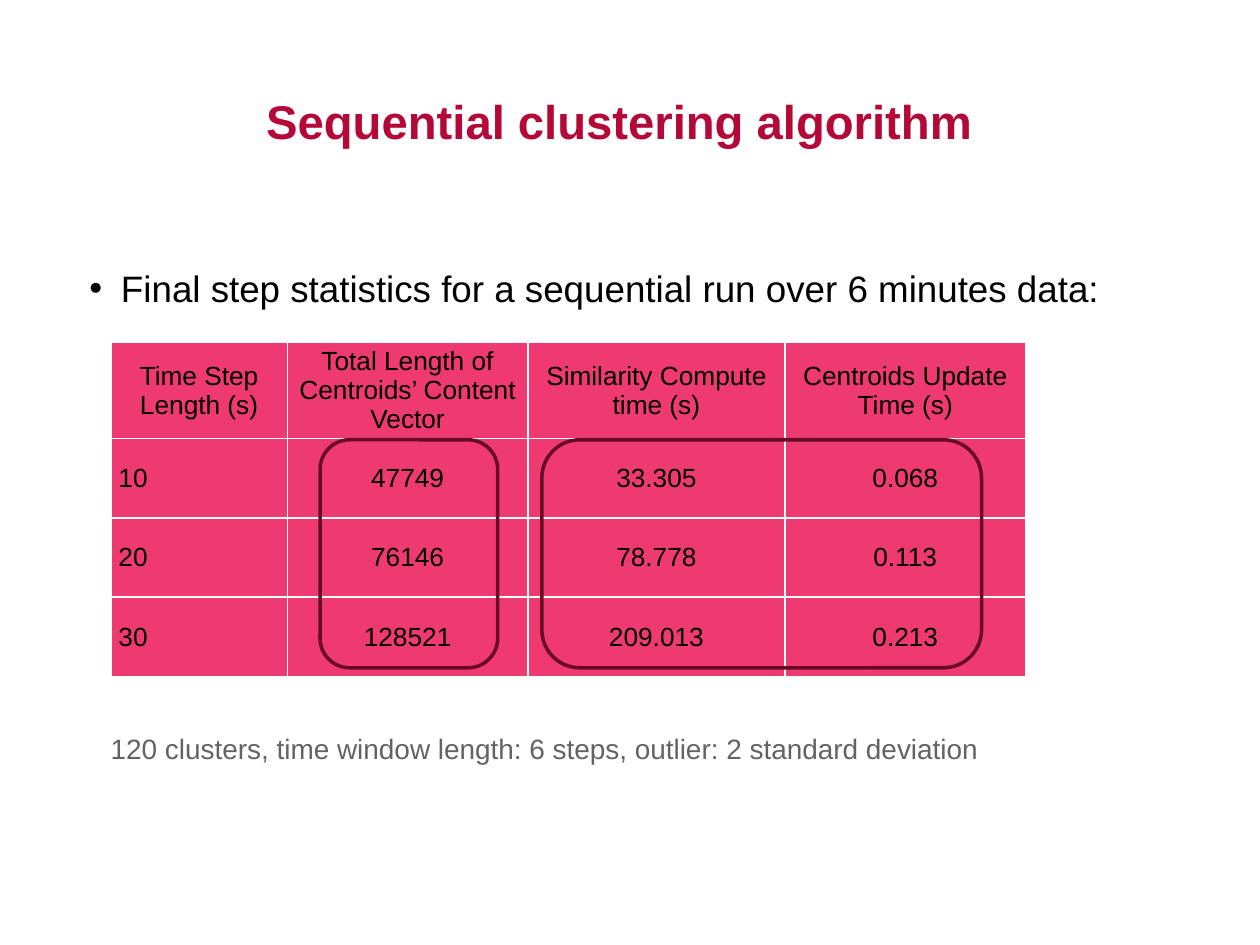
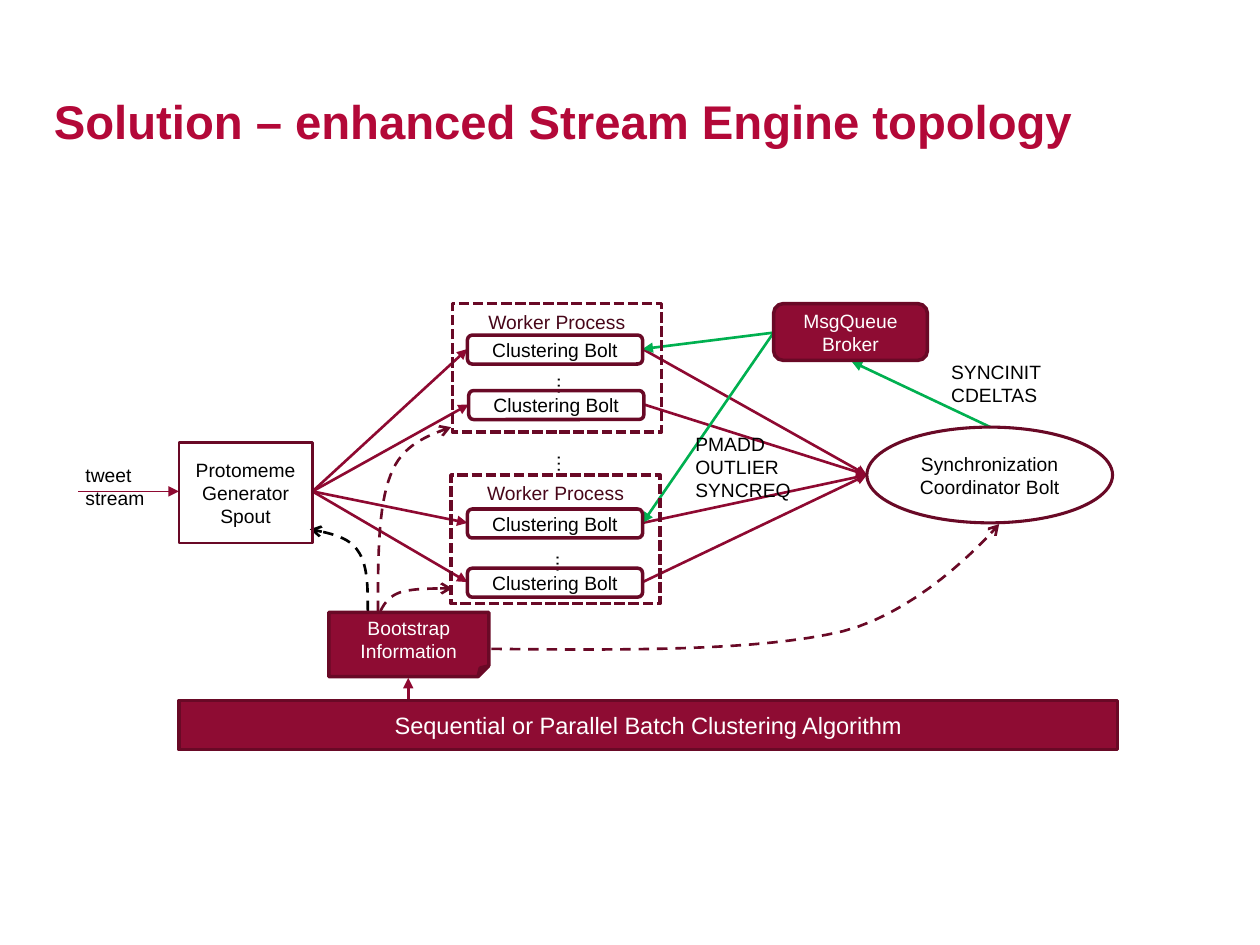
from lxml import etree
from pptx import Presentation
from pptx import util as u
from pptx.dml.color import RGBColor
from pptx.enum import dml, shapes, text
from pptx.oxml.ns import qn

PX = 9144
FONT = "Arial"
TITLE = RGBColor(0xB3, 0x08, 0x38)
CRIMSON = RGBColor(0x8E, 0x0C, 0x33)
ARROW = RGBColor(0x8E, 0x09, 0x31)
MAROON = RGBColor(0x69, 0x09, 0x26)
PLUM = RGBColor(0x47, 0x06, 0x19)
PINK = RGBColor(0xEE, 0x3A, 0x70)
GREEN = RGBColor(0x00, 0xB0, 0x50)
GREY = RGBColor(0x62, 0x63, 0x65)
BLACK = RGBColor(0, 0, 0)
WHITE = RGBColor(255, 255, 255)

LEFT, CENTER, JUSTIFY = text.PP_ALIGN.LEFT, text.PP_ALIGN.CENTER, text.PP_ALIGN.JUSTIFY
TOP, MIDDLE = text.MSO_ANCHOR.TOP, text.MSO_ANCHOR.MIDDLE
RECT, ROUND = shapes.MSO_SHAPE.RECTANGLE, shapes.MSO_SHAPE.ROUNDED_RECTANGLE
OVAL, FOLDED = shapes.MSO_SHAPE.OVAL, shapes.MSO_SHAPE.FOLDED_CORNER
DASH, SHORT_DASH = dml.MSO_LINE.DASH, dml.MSO_LINE.SQUARE_DOT


def add_text(slide, words, box, kind=None, fill=None, line=MAROON, width=2, dash=None,
             size=11, color=BLACK, bold=False, align=None, anchor=None):
    box = [n * PX for n in box]
    if kind is None:
        sp = slide.shapes.add_textbox(*box)
    else:
        sp = slide.shapes.add_shape(kind, *box)
        sp.shadow.inherit = False
        if fill is None:
            sp.fill.background()
        else:
            sp.fill.solid()
            sp.fill.fore_color.rgb = fill
        sp.line.color.rgb = line
        sp.line.width = u.Pt(width)
        if dash is not None:
            sp.line.dash_style = dash
    tf = sp.text_frame
    tf.word_wrap = True
    tf.vertical_anchor = anchor or (MIDDLE if kind else TOP)
    for i, words_line in enumerate(words.split("\n")):
        p = tf.paragraphs[0] if i == 0 else tf.add_paragraph()
        p.alignment = align or (CENTER if kind else LEFT)
        r = p.add_run()
        r.text = words_line
        r.font.name, r.font.size, r.font.bold = FONT, u.Pt(size), bold
        r.font.color.rgb = color
    return sp


def style_arrow(sp, color, width=1.5, head="triangle", dash=None):
    sp.line.color.rgb = color
    sp.line.width = u.Pt(width)
    if dash is not None:
        sp.line.dash_style = dash
    spPr = sp.element.spPr
    etree.SubElement(spPr.find(qn("a:ln")), qn("a:tailEnd"), type=head)
    if spPr.find(qn("a:effectLst")) is None:
        etree.SubElement(spPr, qn("a:effectLst"))


prs = Presentation()
prs.slide_width, prs.slide_height = 1000 * PX, 750 * PX
stats, topology = [prs.slides.add_slide(prs.slide_layouts[6]) for _ in range(2)]
for slide, heading, align in [
    (stats, "Sequential clustering algorithm", CENTER),
    (topology, "Solution – enhanced Stream Engine topology", LEFT),
]:
    add_text(slide, heading, (33, 33, 917, 125), size=27, color=TITLE, bold=True,
             align=align, anchor=MIDDLE)

sp = add_text(stats, "Final step statistics for a sequential run over 6 minutes data:",
              (64, 207, 862, 49), size=21)
tf = sp.text_frame
tf.margin_left = tf.margin_right = 7 * PX
tf.margin_top = tf.margin_bottom = 4 * PX
p = tf.paragraphs[0]
p.space_after = u.Pt(4.5)
pPr = p._p.get_or_add_pPr()
pPr.set("marL", str(25 * PX))
pPr.set("indent", str(-25 * PX))
etree.SubElement(pPr, qn("a:buFont"), typeface=FONT)
etree.SubElement(pPr, qn("a:buChar"), char="•")

rows = [
    ["Time Step Length (s)", "Total Length of Centroids’ Content Vector",
     "Similarity Compute time (s)", "Centroids Update Time (s)"],
    ["10", "47749", "33.305", "0.068"],
    ["20", "76146", "78.778", "0.113"],
    ["30", "128521", "209.013", "0.213"],
]
tbl = stats.shapes.add_table(4, 4, 88 * PX, 272 * PX, 726 * PX, 265 * PX).table
tbl.first_row = tbl.horz_banding = False
for col, width in zip(tbl.columns, (140, 191, 204, 191)):
    col.width = width * PX
for row, height in zip(tbl.rows, (76, 63, 63, 63)):
    row.height = height * PX
for i, values in enumerate(rows):
    for j, value in enumerate(values):
        cell = tbl.cell(i, j)
        cell.margin_left = cell.margin_right = 6 * PX
        cell.margin_top = cell.margin_bottom = 0
        cell.vertical_anchor = MIDDLE
        p = cell.text_frame.paragraphs[0]
        p.alignment = JUSTIFY if i and j == 0 else CENTER
        r = p.add_run()
        r.text = value
        r.font.name, r.font.size = FONT, u.Pt(15)
        r.font.color.rgb = BLACK
        tcPr = cell._tc.get_or_add_tcPr()
        for side in ("lnL", "lnR", "lnT", "lnB"):
            ln = etree.SubElement(tcPr, qn("a:" + side), w=str(u.Pt(1)))
            paint = etree.SubElement(ln, qn("a:solidFill"))
            etree.SubElement(paint, qn("a:srgbClr"), val=str(WHITE))
        cell.fill.solid()
        cell.fill.fore_color.rgb = PINK

for left, width in ((430, 349), (254, 141)):
    add_text(stats, "", (left, 349, width, 181), ROUND)
add_text(stats, "120 clusters, time window length: 6 steps, outlier: 2 standard deviation",
         (78, 576, 718, 67), size=16, color=GREY)

spout_out, coordinator_in, broker_out = (248, 390), (688, 377), (614, 264)
bolts = [(371, 266), (372, 310), (371, 404), (371, 451)]
BOLT_W, BOLT_H = 139, 23
arrows = [
    ((786, 339), (676, 287), GREEN, 1.5),
    ((324, 556), (324, 538), ARROW, 1.5),
    ((62, 390), (142, 390), ARROW, 0.75),
]
for i, (left, top) in enumerate(bolts):
    bolt_in, bolt_out = (left, top + 11), (left + BOLT_W, top + 11)
    arrows.append((spout_out, bolt_in, ARROW, 1.5))
    arrows.append((bolt_out, coordinator_in, ARROW, 1.5))
    if i % 2 == 0:
        arrows.append((broker_out, bolt_out, GREEN, 1.5))
for start, end, color, width in arrows:
    cx = topology.shapes.add_connector(shapes.MSO_CONNECTOR.STRAIGHT,
                                       *[n * PX for n in start + end])
    style_arrow(cx, color, width)

bootstrap_curves = [
    (MAROON, [(302, 485), (305, 479), (309, 473), (318, 470),
              (328, 467), (343, 467), (359, 467)]),
    (MAROON, [(300, 485), (300, 443), (300, 402), (310, 377),
              (319, 353), (339, 346), (358, 339)]),
    (MAROON, [(390, 515), (496, 516), (602, 517), (669, 501),
              (736, 484), (793, 416), (793, 416)]),
    (BLACK, [(292, 485), (292, 466), (292, 448), (284, 437),
             (277, 426), (261, 423), (246, 420)]),
]
STEPS = 16
for color, knots in bootstrap_curves:
    points = []
    for k in (0, 3):
        for step in range(1, STEPS + 1):
            t = step / STEPS
            weights = ((1 - t) ** 3, 3 * t * (1 - t) ** 2, 3 * t * t * (1 - t), t ** 3)
            points.append([PX * sum(w * knot[axis] for w, knot in zip(weights, knots[k:k + 4]))
                           for axis in (0, 1)])
    fb = topology.shapes.build_freeform(knots[0][0] * PX, knots[0][1] * PX)
    fb.add_line_segments(points, close=False)
    sp = fb.convert_to_shape()
    sp.shadow.inherit = False
    sp.fill.background()
    style_arrow(sp, color, head="arrow", dash=DASH)

add_text(topology, "Protomeme Generator Spout", (142, 351, 106, 80), RECT, width=1.5)
add_text(topology, "Synchronization Coordinator Bolt", (688, 339, 195, 76), OVAL, width=1.75)
for words, box, kind, size in [
    ("MsgQueue\nBroker", (614, 241, 122, 45), ROUND, 11),
    ("Bootstrap Information", (261, 486, 127, 51), FOLDED, 11),
    ("Sequential or Parallel Batch Clustering Algorithm", (142, 556, 745, 39), RECT, 13.5),
]:
    add_text(topology, words, box, kind, fill=CRIMSON, color=WHITE, size=size)

for left, top in ((424, 289), (424, 351), (423, 430)):
    sp = add_text(topology, "…", (left, top, 39, 22))
    sp.text_frame._txBody.bodyPr.set("vert", "eaVert")
for left, top in ((359, 241), (358, 377)):
    add_text(topology, "Worker Process", (left, top, 166, 102), RECT, dash=SHORT_DASH,
             color=PLUM, anchor=TOP)
for left, top in bolts:
    add_text(topology, "Clustering Bolt", (left, top, BOLT_W, BOLT_H), ROUND)

for words, box in [
    ("SYNCINIT\nCDELTAS", (745, 281, 95, 47)),
    ("PMADD\nOUTLIER\nSYNCREQ", (542, 338, 97, 66)),
    ("tweet stream", (58, 363, 71, 47)),
]:
    add_text(topology, words, box)

prs.save("out.pptx")
